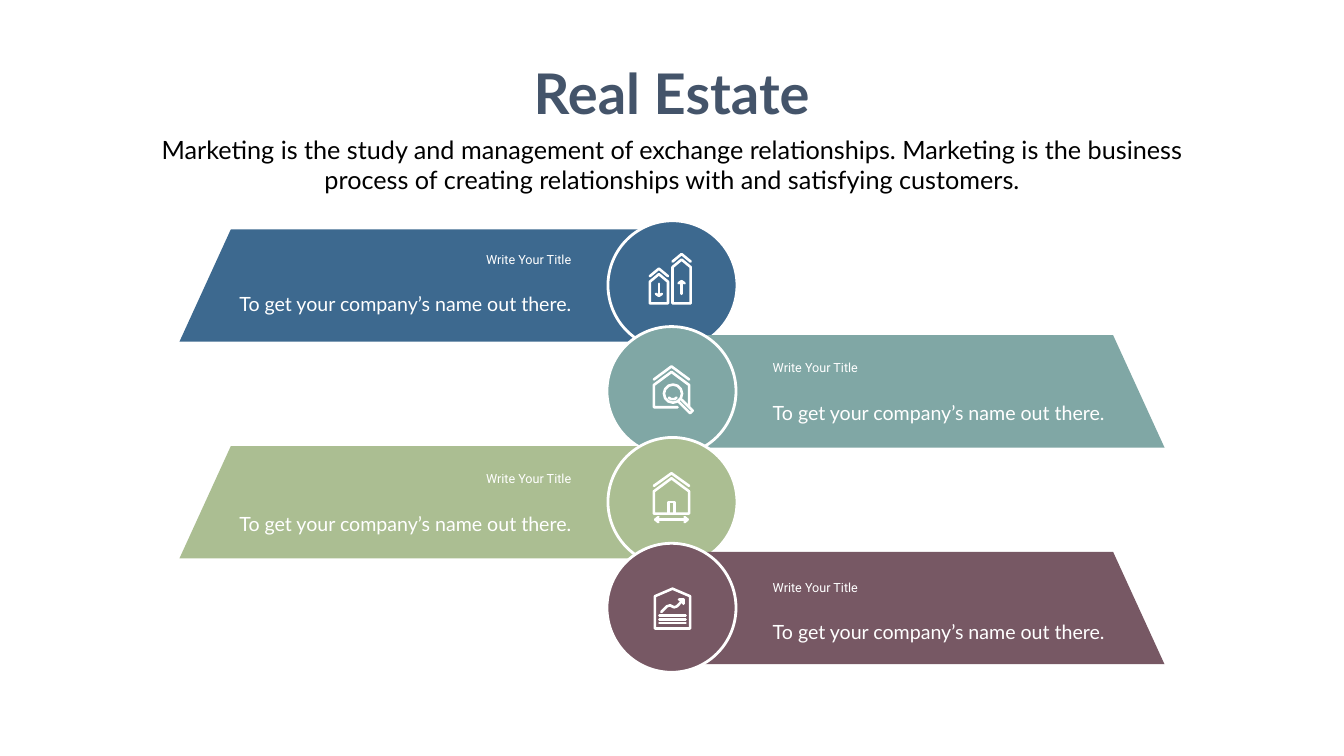
from dataclasses import dataclass

from lxml import etree
from pptx import Presentation, util as u
from pptx.dml.color import RGBColor
from pptx.enum import shapes, text
from pptx.oxml import ns


@dataclass(frozen=True)
class Theme:
    white: str = "FFFFFF"
    ink: str = "000000"
    heading: str = "44546A"
    body_font: str = "Lato"
    label_font: str = "Roboto"
    title_size: int = 80
    intro_size: int = 36
    body_size: int = 28
    label_size: int = 18
    ring: float = 4
    stroke: float = 3.7


THEME = Theme()
WIDTH, HEIGHT = 26.66, 15
DIAMETER = 2.56
BANNER = [(3.56, 2.23), (4.58, 0), (13.42, 0), (13.42, 2.23)]


def house(left, right, peak, eave, bottom):
    middle = (left + right) / 2
    return [(left, bottom), (left, eave), (middle, peak), (right, eave),
            (right, bottom), (left, bottom)]


def roof(left, right, peak, eave):
    return [(left, eave), ((left + right) / 2, peak), (right, eave)]


def vertical_arrow(x, tail, tip, barb):
    return [[(x, tail), (x, tip)],
            [(x - 0.06, barb), (x, tip), (x + 0.06, barb)]]


# Icon strokes, in inches from the centre of the circle
PRICES = [
    house(-0.45, -0.09, -0.22, -0.07, 0.36), roof(-0.45, -0.09, -0.33, -0.18),
    house(0, 0.36, -0.51, -0.36, 0.36), roof(0, 0.36, -0.62, -0.47),
    *vertical_arrow(-0.27, -0.03, 0.21, 0.17),
    *vertical_arrow(0.18, 0.17, -0.08, -0.04),
]
SEARCH = [
    roof(-0.35, 0.35, -0.49, -0.23),
    [(0.12, 0.32), (-0.35, 0.32), (-0.35, -0.12), (0, -0.38), (0.35, -0.12),
     (0.35, 0.3)],
    [(0.2, 0.17), (0.42, 0.39), (0.37, 0.44), (0.15, 0.22)],
    [(-0.05, 0.13), (-0.01, 0.16), (0.06, 0.16), (0.1, 0.13)],
]
AREA = [
    roof(-0.37, 0.33, -0.57, -0.32), house(-0.37, 0.33, -0.47, -0.21, 0.23),
    [(-0.08, 0.23), (-0.08, 0), (0.04, 0), (0.04, 0.23)],
    [(-0.34, 0.35), (0.3, 0.35)],
    [(-0.28, 0.3), (-0.34, 0.35), (-0.28, 0.4)],
    [(0.24, 0.3), (0.3, 0.35), (0.24, 0.4)],
]
GROWTH = [
    house(-0.33, 0.37, -0.38, -0.23, 0.41),
    [(-0.2, 0.08), (-0.09, -0.03), (-0.03, -0.05), (0.05, -0.01),
     (0.11, -0.03), (0.24, -0.17)],
    [(0.15, -0.17), (0.24, -0.17), (0.24, -0.08)],
    *([(-0.24, y), (0.28, y)] for y in (0.15, 0.23, 0.3)),
]

TITLE = "Real Estate"
INTRO = ("Marketing is the study and management of exchange relationships. "
         "Marketing is the business process of creating relationships with "
         "and satisfying customers.")
LABEL = "Write Your Title"
BODY = "To get your company’s name out there."
# Colour, icon strokes, lens (offset x, offset y, radius)
STEPS = [
    ("3D698F", PRICES, None),
    ("80A7A5", SEARCH, (0.03, 0.05, 0.18)),
    ("ABBE92", AREA, None),
    ("775864", GROWTH, None),
]


def rgb(value):
    return RGBColor.from_string(value)


def inches(*values):
    return [u.Inches(value) for value in values]


def write(shape, words, align, line_spacing=1.0, wrap=True, **font):
    frame = shape.text_frame
    frame.word_wrap = wrap
    frame.auto_size = text.MSO_AUTO_SIZE.NONE
    frame.vertical_anchor = text.MSO_ANCHOR.TOP
    paragraph = frame.paragraphs[0]
    paragraph.text = words
    paragraph.alignment = align
    paragraph.line_spacing = line_spacing
    paragraph.font.color.rgb = rgb(font.pop("color"))
    for name, value in font.items():
        setattr(paragraph.font, name, value)


def paint(shape, fill=None, line=None, width=0):
    shape.shadow.inherit = False
    if fill:
        shape.fill.solid()
        shape.fill.fore_color.rgb = rgb(fill)
    else:
        shape.fill.background()
    if line:
        shape.line.color.rgb = rgb(line)
        shape.line.width = u.Pt(width)
    else:
        shape.line.fill.background()


def add_outline(slide, contours, x, y, close=False):
    """Draw the contours as one freeform, offset by x and y."""
    placed = [[tuple(inches(x + dx, y + dy)) for dx, dy in contour]
              for contour in contours]
    builder = slide.shapes.build_freeform(*placed[0][0])
    for number, contour in enumerate(placed):
        if number:
            builder.move_to(*contour[0])
        builder.add_line_segments(
            contour[1:], close=close or contour[0] == contour[-1])
    return builder.convert_to_shape()


def add_circle(slide, x, y, radius):
    return slide.shapes.add_shape(
        shapes.MSO_SHAPE.OVAL,
        *inches(x - radius, y - radius, 2 * radius, 2 * radius))


def add_icon(slide, strokes, lens, x, y):
    icon = add_outline(slide, strokes, x, y)
    paint(icon, line=THEME.white, width=THEME.stroke)
    line = icon.element.spPr.find(ns.qn("a:ln"))
    line.set("cap", "rnd")
    etree.SubElement(line, ns.qn("a:round"))
    if lens:
        dx, dy, radius = lens
        paint(add_circle(slide, x + dx, y + dy, radius),
              line=THEME.white, width=THEME.stroke)


def add_step(slide, number, color, strokes, lens):
    """Odd steps mirror the even ones across the slide's centre."""
    pair, mirrored = divmod(number, 2)
    top = 4.55 + 4.3 * pair + 2.1 * mirrored
    text_top = 4.94 + 4.36 * pair + 2.15 * mirrored

    def place(x, width=0):
        return WIDTH - x - width if mirrored else x

    paint(add_outline(slide, [[(place(x), y) for x, y in BANNER]], 0, top,
                      close=True), color)
    center_x, center_y = place(13.34), top + 1.11
    paint(add_circle(slide, center_x, center_y, DIAMETER / 2),
          color, THEME.white, THEME.ring)
    add_icon(slide, strokes, lens, center_x, center_y)

    align = text.PP_ALIGN.LEFT if mirrored else text.PP_ALIGN.RIGHT
    left = place(4.56, 6.87)
    label = slide.shapes.add_textbox(*inches(left, text_top, 6.87, 0.71))
    write(label, LABEL, align, color=THEME.white, name=THEME.label_font,
          size=u.Pt(THEME.label_size))
    body = slide.shapes.add_textbox(*inches(left, text_top + 0.71, 6.87, 0.62))
    write(body, BODY, align, u.Pt(40.8), color=THEME.white,
          name=THEME.body_font, size=u.Pt(THEME.body_size))


def main():
    presentation = Presentation()
    presentation.slide_width, presentation.slide_height = inches(WIDTH, HEIGHT)
    slide = presentation.slides.add_slide(presentation.slide_layouts[5])

    title = slide.shapes.title
    title.left, title.top, title.width, title.height = inches(
        10.41, 1.12, 5.83, 1.45)
    write(title, TITLE, text.PP_ALIGN.CENTER, wrap=False, color=THEME.heading,
          name=THEME.body_font, size=u.Pt(THEME.title_size), bold=True)
    intro = slide.shapes.add_textbox(*inches(2.92, 2.61, 20.82, 1.31))
    write(intro, INTRO, text.PP_ALIGN.CENTER, color=THEME.ink,
          name=THEME.body_font, size=u.Pt(THEME.intro_size))

    for number, step in enumerate(STEPS):
        add_step(slide, number, *step)
    presentation.save("out.pptx")


if __name__ == "__main__":
    main()
